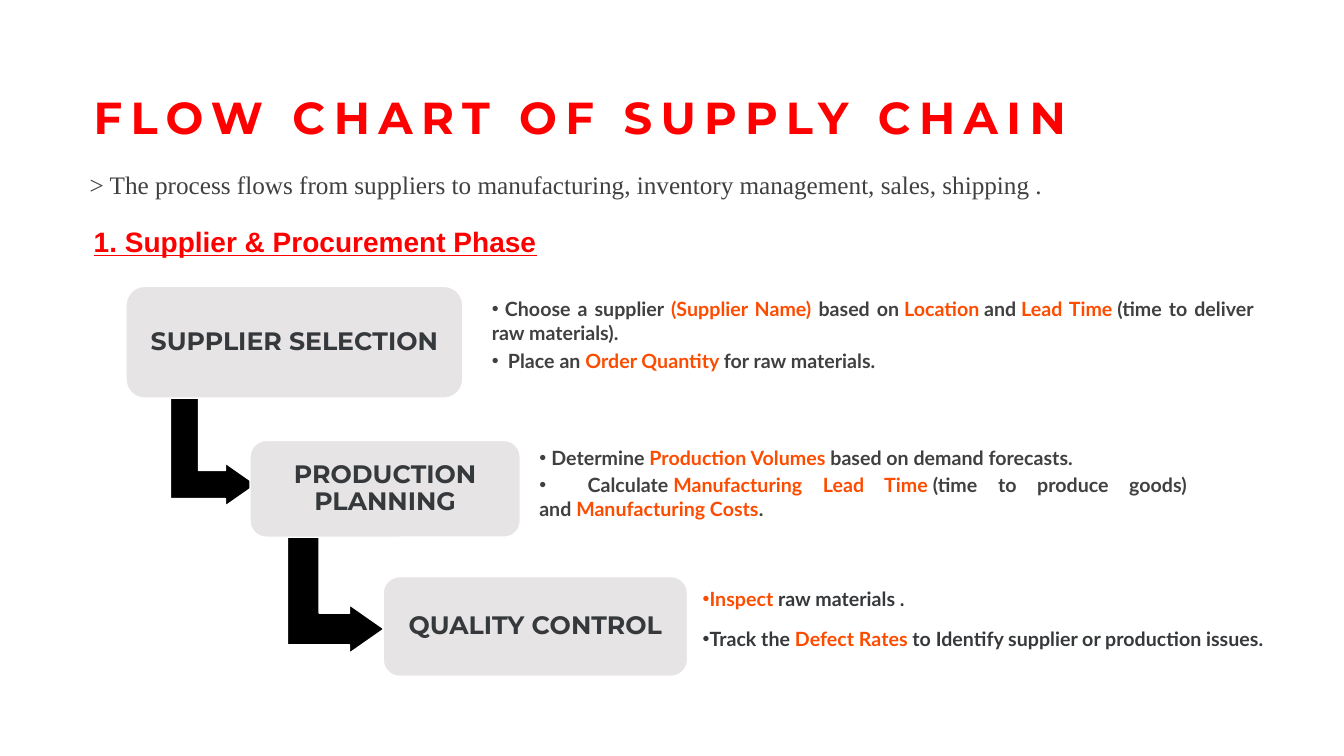
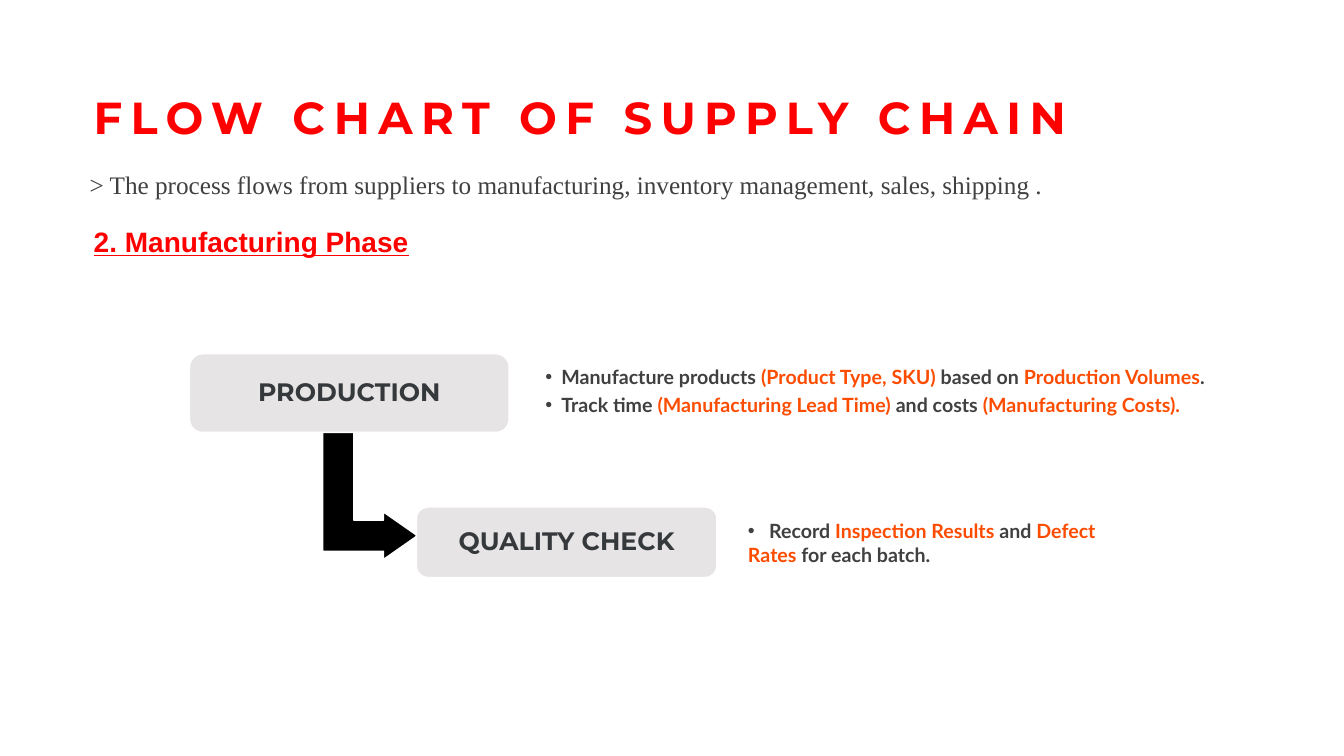
from pptx import Presentation
from pptx.dml.color import RGBColor
from pptx.enum.shapes import MSO_SHAPE as SHAPE
from pptx.enum.text import MSO_ANCHOR as ANCHOR, PP_ALIGN as ALIGN
from pptx.oxml.ns import qn
from pptx.util import Inches, Pt
from lxml.etree import SubElement

RED, ORANGE, BLACK, WHITE = "FF0000", "FD4C00", "000000", "FFFFFF"
GREY, SLATE, PANEL = "404040", "36393B", "E7E4E6"
TITLE = "FLOW CHART OF SUPPLY CHAIN"
SUMMARY = ("> The process flows from suppliers to manufacturing, "
           "inventory management, sales, shipping .")
HEADER_W = 11.07

# Boxes are (left, top, width, height) in inches.
# In notes, |...| marks highlighted words and ~ a non-breaking space;
# each line comes with the gap after its bullet.
PHASES = [
    dict(
        heading="1. Supplier & Procurement Phase",
        arrows=[(1.69, 3.91, 0.85, 1.11), (2.85, 5.3, 0.96, 1.18)],
        steps=[((1.25, 2.84, 3.34, 1.11), "SUPPLIER SELECTION"),
               ((2.48, 4.37, 2.68, 0.96), "PRODUCTION PLANNING"),
               ((3.8, 5.72, 3.02, 0.99), "QUALITY CONTROL")],
        notes=[
            dict(box=(4.78, 2.9, 7.75, 1.17), align=ALIGN.JUSTIFY, lines=[
                (0.13, "Choose a supplier |(Supplier Name) |based on~|Location|"
                       "~and~|Lead Time~|(time to deliver raw materials)."),
                (0.16, "Place an~|Order Quantity |for raw materials.")]),
            dict(box=(5.25, 4.37, 6.62, 1.12), align=ALIGN.JUSTIFY, lines=[
                (0.12, "Determine |Production Volumes |based on demand forecasts."),
                (0.48, "Calculate~|Manufacturing Lead Time~|(time to produce goods) "
                       "and~|Manufacturing Costs|.")]),
            dict(box=(6.91, 5.49, 6.15, 1.3), align=ALIGN.JUSTIFY, color=SLATE,
                 spacing=12, anchor=ANCHOR.MIDDLE, inset=(0.06, 0.06), lines=[
                     (0, "|Inspect |raw materials ."),
                     (0, "Track the |Defect Rates| to Identify supplier or "
                         "production issues.")]),
        ]),
    dict(
        heading="2. Manufacturing Phase",
        arrows=[(3.2, 4.28, 0.94, 1.27)],
        steps=[((1.88, 3.51, 3.17, 0.78), "PRODUCTION"),
               ((4.13, 5.03, 2.98, 0.7), "QUALITY CHECK")],
        notes=[
            dict(box=(5.31, 3.57, 7.75, 0.89), lines=[
                (0.16, "Manufacture products |(Product Type,~SKU) |based on~"
                       "|Production Volumes|."),
                (0.16, "Track time |(Manufacturing Lead Time) |and costs "
                       "|(Manufacturing Costs).")]),
            dict(box=(7.32, 5.1, 3.94, 0.81), lines=[
                (0.21, "Record~|Inspection Results~|and~|Defect Rates~|"
                       "for each batch.")]),
        ]),
]


def rgb(color):
    return RGBColor.from_string(color)


def place(box):
    return [Inches(v) for v in box]


def style(font, name, size, color, bold=True):
    font.name, font.size, font.bold = name, Pt(size), bold
    font.color.rgb = rgb(color)


def set_frame(tf, left, top, right, bottom, anchor=ANCHOR.TOP):
    tf.word_wrap = True
    tf.vertical_anchor = anchor
    tf.margin_left, tf.margin_top = Inches(left), Inches(top)
    tf.margin_right, tf.margin_bottom = Inches(right), Inches(bottom)


def add_line(s, box, text, spacing, margins, anchor=ANCHOR.TOP):
    """One line of header text; returns its run."""
    tf = s.shapes.add_textbox(*place(box)).text_frame
    set_frame(tf, *margins, anchor)
    p = tf.paragraphs[0]
    p.text, p.line_spacing = text, spacing
    return p.runs[0]


def add_header(s, heading):
    # Title
    r = add_line(s, (0.93, 0, HEADER_W, 1.43), TITLE, 0.9, (0, 0, 0, 0),
                 ANCHOR.BOTTOM)
    style(r.font, "Montserrat", 32, RED)
    r.font._element.set("spc", "600")
    # Summary and phase heading
    margins = (0, 0.05, 0.1, 0.05)
    r = add_line(s, (0.89, 1.57, HEADER_W, 0.65), SUMMARY, 1.2, margins)
    style(r.font, "Times New Roman", 18, GREY, False)
    r = add_line(s, (0.93, 2.11, HEADER_W, 0.65), heading, 1.2, margins)
    style(r.font, "Arial", 20, RED)
    r.font.underline = True


def add_panel(s, kind, box, fill):
    sp = s.shapes.add_shape(kind, *place(box))
    sp.shadow.inherit = False
    sp.fill.solid()
    sp.fill.fore_color.rgb = rgb(fill)
    sp.line.color.rgb = rgb(WHITE)
    sp.line.width = Pt(1)
    return sp


def add_arrow(s, box):
    """Down-then-right arrow filling the box: an up arrow turned by 90 degrees."""
    x, y, w, h = box
    turned = (x + (w - h) / 2, y + (h - w) / 2, h, w)
    sp = add_panel(s, SHAPE.BENT_UP_ARROW, turned, BLACK)
    sp.rotation = 90
    for i, value in enumerate((0.328, 0.25, 0.358)):
        sp.adjustments[i] = value


def add_step(s, box, label):
    sp = add_panel(s, SHAPE.ROUNDED_RECTANGLE, box, PANEL)
    tf = sp.text_frame
    set_frame(tf, 0.1, 0.1, 0.1, 0.1, ANCHOR.MIDDLE)
    p = tf.paragraphs[0]
    p.text, p.alignment, p.line_spacing = label, ALIGN.CENTER, 0.9
    style(p.runs[0].font, "Montserrat", 18, SLATE)


def add_bullet(p, gap):
    """Bullet at the margin, with the text starting at a tab stop."""
    pPr = p._p.get_or_add_pPr()
    pPr.set("marL", "0")
    pPr.set("indent", "0")
    SubElement(pPr, qn("a:buFont"), typeface="Arial")
    SubElement(pPr, qn("a:buChar"), char="•")
    if gap:
        tabs = SubElement(pPr, qn("a:tabLst"))
        SubElement(tabs, qn("a:tab"), pos=str(Inches(gap)), algn="l")


def add_notes(s, box, lines, align=ALIGN.LEFT, color=GREY, spacing=3,
              anchor=ANCHOR.TOP, inset=(0.1, 0.05)):
    tf = s.shapes.add_textbox(*place(box)).text_frame
    set_frame(tf, *inset, *inset, anchor)
    for i, (gap, text) in enumerate(lines):
        p = tf.add_paragraph() if i else tf.paragraphs[0]
        add_bullet(p, gap)
        p.alignment = align
        if i:
            p.space_before = Pt(spacing)
        marked = ("\t" if gap else "") + text.replace("~", chr(160))
        for j, part in enumerate(marked.split("|")):
            if part:
                r = p.add_run()
                r.text = part
                style(r.font, "Lato", 14, ORANGE if j % 2 else color)


def add_phase(prs, heading, arrows, steps, notes):
    s = prs.slides.add_slide(prs.slide_layouts[6])
    add_header(s, heading)
    # Flow: arrows lie behind the steps
    for box in arrows:
        add_arrow(s, box)
    for box, label in steps:
        add_step(s, box, label)
    # Explanations beside the steps
    for note in notes:
        add_notes(s, **note)


def main():
    prs = Presentation()
    prs.slide_width, prs.slide_height = Inches(13.33), Inches(7.5)
    for phase in PHASES:
        add_phase(prs, **phase)
    prs.save("out.pptx")


if __name__ == "__main__":
    main()
